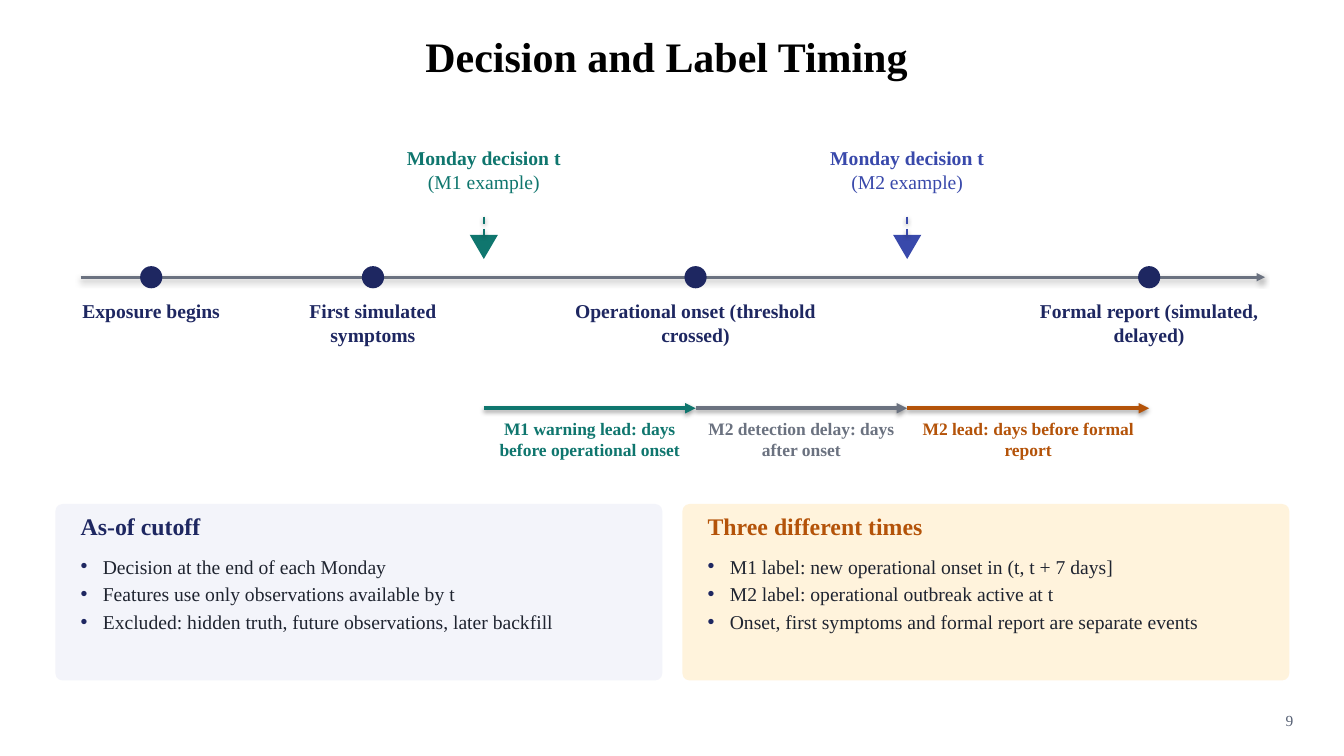
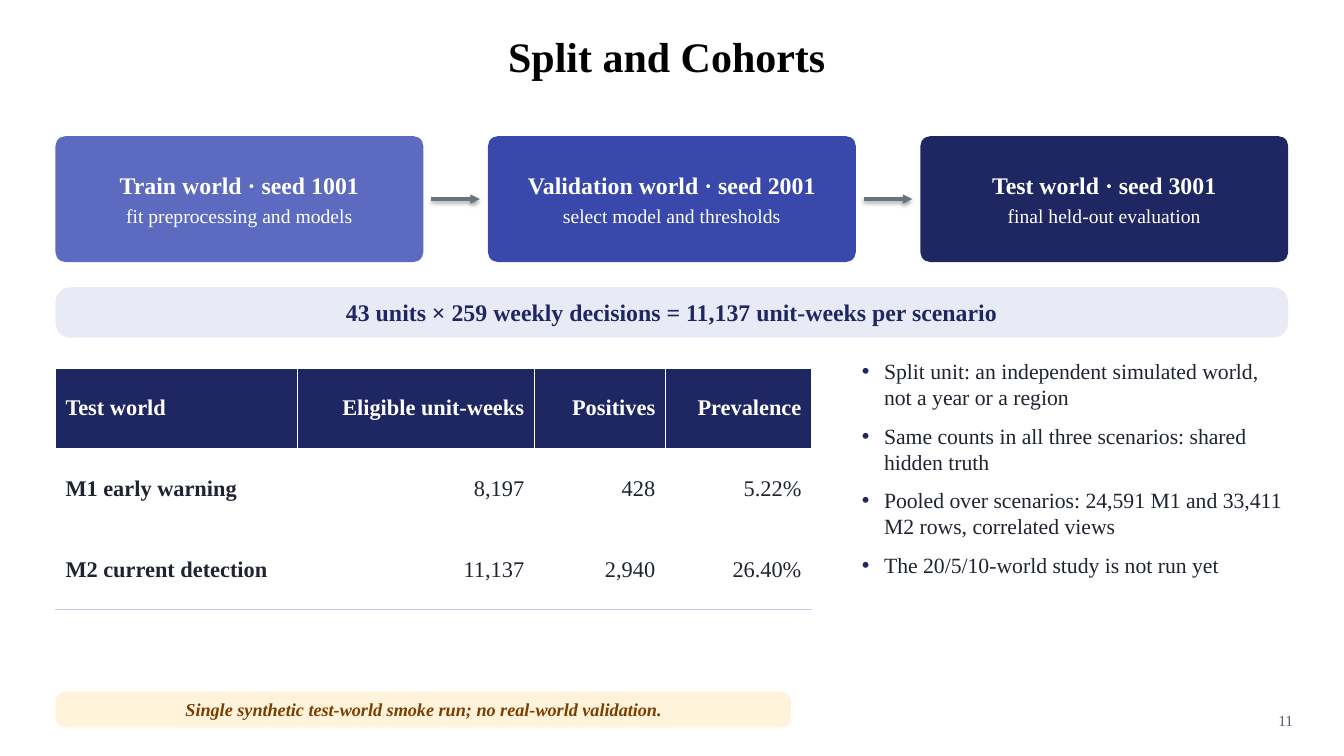
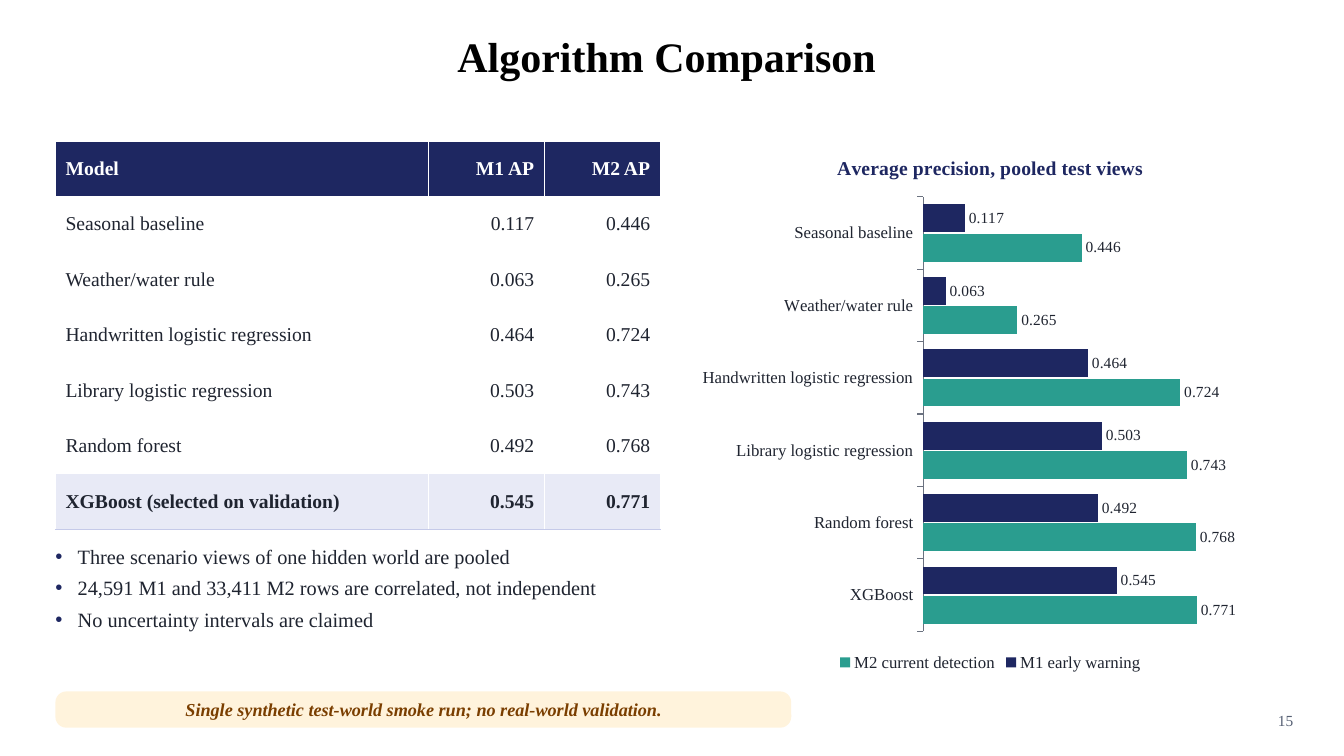
from dataclasses import dataclass
from typing import NamedTuple, Optional

from lxml import etree
from pptx import Presentation
from pptx import util as u
from pptx.chart.data import CategoryChartData
from pptx.dml.color import RGBColor
from pptx.enum import chart as charts, dml, shapes, text
from pptx.oxml.ns import qn

# Shared look: all lengths are counted in grid cells of a tenth of an inch
CELL = 0.1
COLS, ROWS = 133.33, 75
LEFT, CONTENT = 5.5, 122.3
FONT = "Times New Roman"

NAVY, INDIGO, PERIWINKLE, LAVENDER = "1E2761", "3949AB", "5C6BC0", "E8EAF6"
TEAL, MINT, ORANGE, CREAM, BROWN = "0F766E", "2A9D8F", "B45309", "FFF3DC", "7A3E00"
INK, GREY, PAGE_GREY, RULE = "1F2430", "6B7280", "566074", "C5CAE9"
MIST, WHITE, BLACK = "F3F4FA", "FFFFFF", "000000"

CENTER, RIGHT = text.PP_ALIGN.CENTER, text.PP_ALIGN.RIGHT
MIDDLE, TOP = text.MSO_ANCHOR.MIDDLE, text.MSO_ANCHOR.TOP
ROUNDED = shapes.MSO_SHAPE.ROUNDED_RECTANGLE


class Box(NamedTuple):
    col: float
    row: float
    cols: float
    rows: float

    def emu(self):
        return [cells(n) for n in self]


@dataclass
class Line:
    text: str
    size: float
    color: str = INK
    bold: bool = False
    italic: bool = False
    after: float = 0


@dataclass
class Event:
    name: str
    col: float
    label_cols: float


@dataclass
class Decision:
    example: str
    col: float
    color: str


@dataclass
class Span:
    label: str
    start: float
    end: float
    color: str


@dataclass
class Panel:
    heading: str
    fill: str
    color: str
    points: list[str]


@dataclass
class World:
    name: str
    purpose: str
    fill: str


def cells(count: float) -> int:
    return u.Inches(count * CELL)


def rgb(color: str) -> RGBColor:
    return RGBColor.from_string(color)


# Text
def style_font(font, size: float, color: str, bold: bool = False, italic: bool = False) -> None:
    font.name, font.size, font.color.rgb = FONT, u.Pt(size), rgb(color)
    font.bold, font.italic = bold, italic


def write(frame, lines: list[Line], align=None, anchor=TOP, inset=(0, 0)) -> None:
    frame.word_wrap, frame.auto_size = True, text.MSO_AUTO_SIZE.NONE
    frame.vertical_anchor = anchor
    frame.margin_left = frame.margin_right = cells(inset[0])
    frame.margin_top = frame.margin_bottom = cells(inset[1])
    frame.text = "\n".join(line.text for line in lines)
    for paragraph, line in zip(frame.paragraphs, lines):
        paragraph.alignment = align
        paragraph.space_before, paragraph.space_after = u.Pt(0), u.Pt(line.after)
        for run in paragraph.runs:
            style_font(run.font, line.size, line.color, line.bold, line.italic)


def add_label(slide, box: Box, lines: list[Line], align=None) -> None:
    write(slide.shapes.add_textbox(*box.emu()).text_frame, lines, align)


def place(holder, box: Box) -> None:
    holder.left, holder.top, holder.width, holder.height = box.emu()


def fill_list(body, box: Box, points: list[str], size: float, after: float) -> None:
    place(body, box)
    body._element.getparent().append(body._element)  # lists sit above their panels
    write(body.text_frame, [Line(point, size, after=after) for point in points])
    for paragraph in body.text_frame.paragraphs:
        props = paragraph._p.get_or_add_pPr()
        props.set("marL", str(cells(2.2)))
        props.set("indent", str(-cells(2.2)))
        tint = etree.SubElement(props, qn("a:buClr"))
        etree.SubElement(tint, qn("a:srgbClr"), val=NAVY)
        etree.SubElement(props, qn("a:buChar"), char="•")


# Shapes, lines and tables
def add_figure(slide, kind, box: Box, fill: str, corner: Optional[float] = None):
    figure = slide.shapes.add_shape(kind, *box.emu())
    figure.shadow.inherit = False
    figure.fill.solid()
    figure.fill.fore_color.rgb = rgb(fill)
    figure.line.fill.background()
    if corner is not None:
        figure.adjustments[0] = corner
    return figure


def add_line(slide, start, end, color: str, width: float, dashed: bool = False) -> None:
    connector = slide.shapes.add_connector(
        shapes.MSO_CONNECTOR.STRAIGHT, *map(cells, (*start, *end)))
    connector.line.color.rgb, connector.line.width = rgb(color), u.Pt(width)
    if dashed:
        connector.line.dash_style = dml.MSO_LINE.DASH
    else:
        etree.SubElement(connector.line._get_or_add_ln(), qn("a:tailEnd"), type="triangle")


def underline_cell(cell) -> None:
    rule = etree.Element(qn("a:lnB"), w=str(u.Pt(0.75)))
    paint = etree.SubElement(rule, qn("a:solidFill"))
    etree.SubElement(paint, qn("a:srgbClr"), val=RULE)
    cell._tc.get_or_add_tcPr().insert(0, rule)


def add_grid(slide, col: float, row: float, widths: list[float], height: float,
             rows: list[list[str]], size: float, bold_names=False, selected=None) -> None:
    box = Box(col, row, sum(widths), height * len(rows))
    table = slide.shapes.add_table(len(rows), len(widths), *box.emu()).table
    table.horz_banding = False
    for column, width in zip(table.columns, widths):
        column.width = cells(width)
    for r, values in enumerate(rows):
        table.rows[r].height = cells(height)
        for c, value in enumerate(values):
            cell = table.cell(r, c)
            bold = r in (0, selected) or (bold_names and c == 0)
            write(cell.text_frame, [Line(value, size, INK if r else WHITE, bold)],
                  RIGHT if c else None)
            cell.vertical_anchor = MIDDLE
            cell.margin_left = cell.margin_right = cells(1)
            cell.margin_top = cell.margin_bottom = cells(0.4)
            cell.fill.solid()
            cell.fill.fore_color.rgb = rgb(
                NAVY if r == 0 else LAVENDER if r == selected else WHITE)
            underline_cell(cell)


# Parts every slide shares
def start_slide(deck, layout: int, title: str, number: int):
    slide = deck.slides.add_slide(deck.slide_layouts[layout])
    place(slide.shapes.title, Box(23, 2, 86.3, 7))
    write(slide.shapes.title.text_frame, [Line(title, 30, BLACK, True)], CENTER, MIDDLE)
    add_label(slide, Box(123.3, 70.5, 5, 2.5), [Line(str(number), 11, PAGE_GREY)], RIGHT)
    return slide


def add_caveat(slide) -> None:
    band = add_figure(slide, ROUNDED, Box(LEFT, 68.6, 73, 3.6), CREAM, 0.3)
    write(band.text_frame,
          [Line("Single synthetic test-world smoke run; no real-world validation.",
                13, BROWN, True, True)], CENTER, MIDDLE, (1.5, 0.5))


# Slide: timeline
EVENTS = [
    Event("Exposure begins", 15, 19),
    Event("First simulated symptoms", 37, 19),
    Event("Operational onset (threshold crossed)", 69, 24),
    Event("Formal report (simulated, delayed)", 114, 24),
]
DECISIONS = [Decision("(M1 example)", 48, TEAL), Decision("(M2 example)", 90, INDIGO)]
SPANS = [
    Span("M1 warning lead: days before operational onset", 48, 69, TEAL),
    Span("M2 detection delay: days after onset", 69, 90, GREY),
    Span("M2 lead: days before formal report", 90, 114, ORANGE),
]
PANELS = [
    Panel("As-of cutoff", MIST, NAVY, [
        "Decision at the end of each Monday",
        "Features use only observations available by t",
        "Excluded: hidden truth, future observations, later backfill"]),
    Panel("Three different times", CREAM, ORANGE, [
        "M1 label: new operational onset in (t, t + 7 days]",
        "M2 label: operational outbreak active at t",
        "Onset, first symptoms and formal report are separate events"]),
]


def build_timing(deck) -> None:
    slide = start_slide(deck, 3, "Decision and Label Timing", 9)
    axis, dot = 27.5, 2.2
    add_line(slide, (8, axis), (125.5, axis), GREY, 2)
    for event in EVENTS:
        add_figure(slide, shapes.MSO_SHAPE.OVAL,
                   Box(event.col - dot / 2, axis - dot / 2, dot, dot), NAVY)
        add_label(slide, Box(event.col - event.label_cols / 2, 29.7, event.label_cols, 6.5),
                  [Line(event.name, 14, NAVY, True)], CENTER)

    for decision in DECISIONS:
        add_figure(slide, shapes.MSO_SHAPE.FLOWCHART_MERGE,
                   Box(decision.col - 1.4, 23.3, 2.8, 2.4), decision.color)
        add_label(slide, Box(decision.col - 12, 14.5, 24, 7),
                  [Line("Monday decision t", 14, decision.color, True),
                   Line(decision.example, 14, decision.color)], CENTER)
        add_line(slide, (decision.col, 21.5), (decision.col, 23.3), decision.color, 1.25, True)

    for span in SPANS:
        add_line(slide, (span.start, 40.5), (span.end, 40.5), span.color, 2.5)
        add_label(slide, Box(span.start + 0.8, 41.5, span.end - span.start - 1.6, 7),
                  [Line(span.label, 12.5, span.color, True)], CENTER)

    width, gap, pad = 60.2, 2, 2.5
    for i, panel in enumerate(PANELS):
        col = LEFT + i * (width + gap)
        add_figure(slide, ROUNDED, Box(col, 50, width, 17.5), panel.fill, 0.04)
        add_label(slide, Box(col + pad, 50.8, 55, 4), [Line(panel.heading, 17, panel.color, True)])
        fill_list(slide.placeholders[i + 1], Box(col + pad, 55, width - 2 * pad, 12),
                  panel.points, 14, 3)


# Slide: split and cohorts
WORLDS = [
    World("Train world · seed 1001", "fit preprocessing and models", PERIWINKLE),
    World("Validation world · seed 2001", "select model and thresholds", INDIGO),
    World("Test world · seed 3001", "final held-out evaluation", NAVY),
]
COHORTS = [
    ["Test world", "Eligible unit-weeks", "Positives", "Prevalence"],
    ["M1 early warning", "8,197", "428", "5.22%"],
    ["M2 current detection", "11,137", "2,940", "26.40%"],
]


def build_split(deck) -> None:
    slide = start_slide(deck, 1, "Split and Cohorts", 11)
    add_caveat(slide)
    width, top, height = 36.5, 13.5, 12.5
    gap = (CONTENT - len(WORLDS) * width) / (len(WORLDS) - 1)
    for i, world in enumerate(WORLDS):
        col = LEFT + i * (width + gap)
        if i:
            middle = top + height / 2
            add_line(slide, (col - gap + 0.8, middle), (col - 0.8, middle), GREY, 2.25)
        card = add_figure(slide, ROUNDED, Box(col, top, width, height), world.fill, 0.08)
        write(card.text_frame, [Line(world.name, 17, WHITE, True, after=3),
                                Line(world.purpose, 14, WHITE)], CENTER, MIDDLE, (1.2, 0.5))

    total = add_figure(slide, ROUNDED, Box(LEFT, 28.5, CONTENT, 5), LAVENDER, 0.3)
    write(total.text_frame,
          [Line("43 units × 259 weekly decisions = 11,137 unit-weeks per scenario",
                17, NAVY, True)], CENTER, MIDDLE, (1.2, 0.5))
    add_grid(slide, LEFT, 36.5, [24, 23.5, 13, 14.5], 8, COHORTS, 16, bold_names=True)
    fill_list(slide.placeholders[1], Box(85.5, 35.5, 42.5, 31), [
        "Split unit: an independent simulated world, not a year or a region",
        "Same counts in all three scenarios: shared hidden truth",
        "Pooled over scenarios: 24,591 M1 and 33,411 M2 rows, correlated views",
        "The 20/5/10-world study is not run yet"], 15.5, 9)


# Slide: algorithm comparison
SCORES = {
    "Seasonal baseline": (0.117, 0.446),
    "Weather/water rule": (0.063, 0.265),
    "Handwritten logistic regression": (0.464, 0.724),
    "Library logistic regression": (0.503, 0.743),
    "Random forest": (0.492, 0.768),
    "XGBoost": (0.545, 0.771),
}
CHOSEN = "XGBoost"
SERIES = [("M1 early warning", NAVY), ("M2 current detection", MINT)]


def add_precision_chart(slide, box: Box) -> None:
    data = CategoryChartData(number_format="0.000")
    data.categories = list(SCORES)
    for (name, _), values in zip(SERIES, zip(*SCORES.values())):
        data.add_series(name, values)
    chart = slide.shapes.add_chart(charts.XL_CHART_TYPE.BAR_CLUSTERED, *box.emu(), data).chart
    style_font(chart.font, 12, INK)

    chart.has_title = True
    heading = chart.chart_title.text_frame
    heading.text = "Average precision, pooled test views"
    style_font(heading.paragraphs[0].runs[0].font, 14, NAVY, True)
    chart.chart_title.include_in_layout = False
    chart.has_legend = True
    chart.legend.position = charts.XL_LEGEND_POSITION.BOTTOM
    chart.legend.include_in_layout = False
    style_font(chart.legend.font, 12, INK)

    models, precision = chart.category_axis, chart.value_axis
    models.reverse_order = True
    models.major_tick_mark = charts.XL_TICK_MARK.OUTSIDE
    models.format.line.color.rgb, models.format.line.width = rgb(GREY), u.Pt(0.75)
    style_font(models.tick_labels.font, 12, INK)
    precision.minimum_scale, precision.maximum_scale, precision.major_unit = 0, 1, 0.2
    precision.has_major_gridlines = precision.visible = False

    plot = chart.plots[0]
    plot.gap_width, plot.overlap, plot.vary_by_categories = 55, -5, False
    for series, (_, color) in zip(plot.series, SERIES):
        series.format.fill.solid()
        series.format.fill.fore_color.rgb = rgb(color)
        values = series.data_labels
        values.show_value = True
        values.position = charts.XL_LABEL_POSITION.OUTSIDE_END
        values.number_format, values.number_format_is_linked = "0.000", False
        style_font(values.font, 11, INK)


def build_comparison(deck) -> None:
    slide = start_slide(deck, 1, "Algorithm Comparison", 15)
    add_caveat(slide)
    rows = [["Model", "M1 AP", "M2 AP"]]
    for model, scores in SCORES.items():
        name = f"{model} (selected on validation)" if model == CHOSEN else model
        rows.append([name, *(f"{score:.3f}" for score in scores)])
    add_grid(slide, LEFT, 14, [37, 11.5, 11.5], 5.5, rows, 14,
             selected=list(SCORES).index(CHOSEN) + 1)
    fill_list(slide.placeholders[1], Box(LEFT, 54, 60, 13), [
        "Three scenario views of one hidden world are pooled",
        "24,591 M1 and 33,411 M2 rows are correlated, not independent",
        "No uncertainty intervals are claimed"], 14.5, 5)
    add_precision_chart(slide, Box(68.5, 13.5, 59.5, 53.5))


def main() -> None:
    deck = Presentation()
    deck.slide_width, deck.slide_height = cells(COLS), cells(ROWS)
    for build in (build_timing, build_split, build_comparison):
        build(deck)
    deck.save("out.pptx")


if __name__ == "__main__":
    main()
